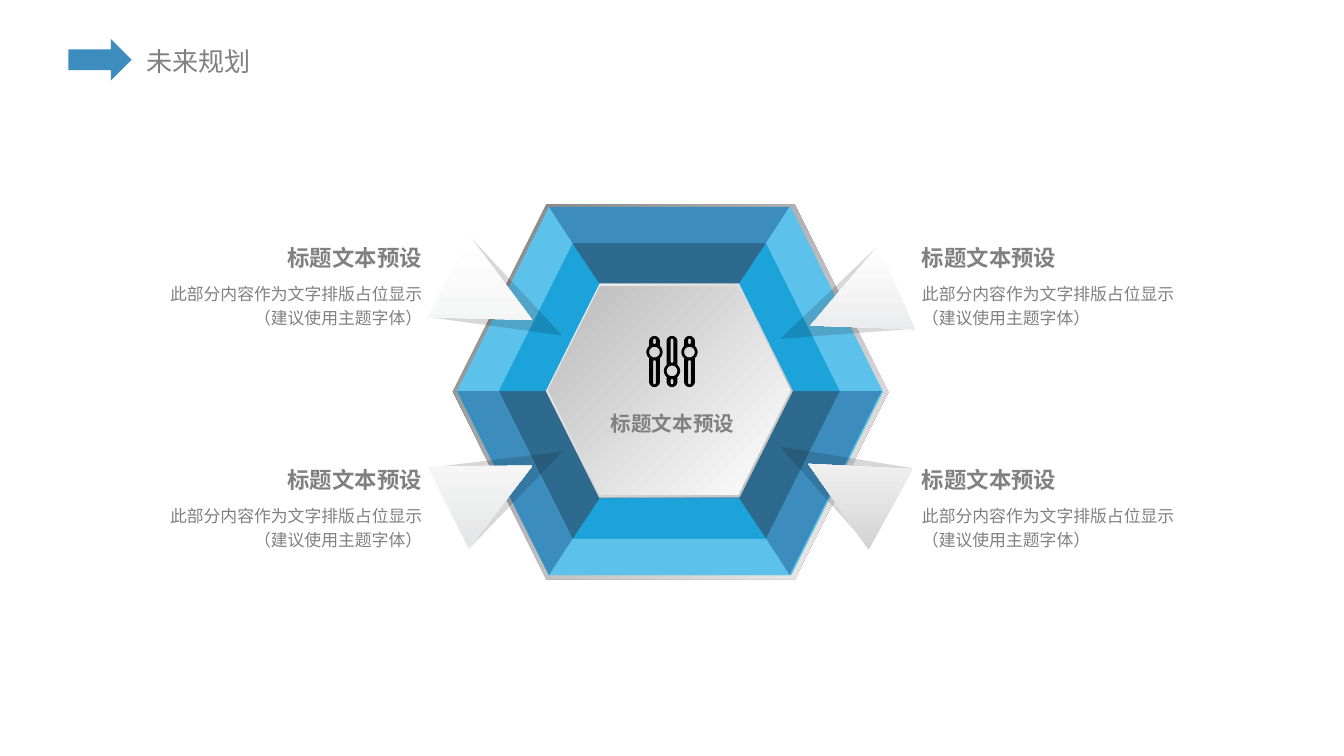
from dataclasses import dataclass
from math import cos, radians, sin

from lxml.etree import SubElement
from pptx import Presentation
from pptx.dml.color import RGBColor
from pptx.enum.shapes import MSO_SHAPE
from pptx.enum.text import MSO_ANCHOR, MSO_AUTO_SIZE, PP_ALIGN
from pptx.oxml.ns import qn
from pptx.util import Inches, Pt


@dataclass(frozen=True)
class Theme:
    font: str = "Noto Sans CJK SC"
    text: str = "808080"
    blue: str = "3C8DBE"
    sky: str = "5CC2EB"
    deep: str = "2D6A8E"
    bright: str = "1BA3DA"
    shadow: str = "0D0D0D"
    black: str = "000000"
    white: str = "FFFFFF"
    frame_gradient: tuple = ("808080", "F2F2F2")
    rim_gradient: tuple = ("BFBFBF", "F2F2F2")
    face_gradient: tuple = ("FFFFFF", "BABABA")
    pointer_tints: tuple = ("D3D3D4", "E2E3E4", "E4E5E6", "F0F1F1")
    title_size: int = 14
    heading_size: int = 12
    label_size: int = 11
    body_size: int = 9


theme = Theme()


def write_text(shape, text, size, bold=False, align=PP_ALIGN.LEFT, anchor=MSO_ANCHOR.TOP,
               margins=(0, 0), wrap=True, line_spacing=1.0):
    frame = shape.text_frame
    frame.auto_size = MSO_AUTO_SIZE.NONE
    frame.word_wrap = wrap
    frame.vertical_anchor = anchor
    frame.margin_left = frame.margin_right = Inches(margins[0])
    frame.margin_top = frame.margin_bottom = Inches(margins[1])
    paragraph = frame.paragraphs[0]
    paragraph.text = text
    paragraph.alignment = align
    paragraph.line_spacing = line_spacing
    paragraph.space_before = Pt(0)
    for run in paragraph.runs:
        run.font.name = theme.font
        run.font.size = Pt(size)
        run.font.bold = bold
        run.font.color.rgb = RGBColor.from_string(theme.text)
        SubElement(run.font._element, qn("a:ea"), typeface=theme.font)


def paint(shape, *colors, angle=0, opacity=100):
    """Fill with one colour, or with a two-colour gradient at a clockwise angle."""
    shape.shadow.inherit = False
    shape.line.fill.background()
    if len(colors) == 1:
        shape.fill.solid()
        shape.fill.fore_color.rgb = RGBColor.from_string(colors[0])
    else:
        shape.fill.gradient()
        shape.fill.gradient_angle = 360 - angle
        for stop, color, position in zip(shape.fill.gradient_stops, colors, (0, 1)):
            stop.color.rgb = RGBColor.from_string(color)
            stop.position = position
        # The gradient keeps its direction when the shape is turned
        shape._element.spPr.find(qn("a:gradFill")).set("rotWithShape", "0")
    if opacity < 100:
        color_element = shape._element.spPr.find(".//" + qn("a:srgbClr"))
        SubElement(color_element, qn("a:alpha"), val=str(opacity * 1000))


presentation = Presentation()
presentation.slide_width = Inches(10)
presentation.slide_height = Inches(10 * 9 / 16)
slide = presentation.slides.add_slide(presentation.slide_layouts[5])
shapes = slide.shapes

# Title and arrow
title = shapes.title
title.left, title.top, title.width, title.height = map(Inches, (0.98, 0.29, 1, 0.34))
write_text(title, "未来规划", theme.title_size, margins=(0.11, 0.05), wrap=False)
arrow = shapes.add_shape(MSO_SHAPE.RIGHT_ARROW, *map(Inches, (0.51, 0.29, 0.47, 0.31)))
paint(arrow, theme.blue)

# Nested hexagons
hexagons = [
    ((3.37, 1.52, 3.24, 2.79), theme.frame_gradient, 45),
    ((3.4, 1.55, 3.17, 2.73), (theme.sky,), 0),
    ((3.72, 1.82, 2.54, 2.19), (theme.blue,), 0),
    ((4.06, 2.11, 1.85, 1.59), theme.rim_gradient, 225),
    ((4.08, 2.13, 1.8, 1.55), theme.face_gradient, 225),
]
for box, colors, angle in hexagons:
    hexagon = shapes.add_shape(MSO_SHAPE.HEXAGON, *map(Inches, box))
    paint(hexagon, *colors, angle=angle)

# Two rings of six facets, between three hexagon outlines
center_x, center_y = 4.98, 2.91
outlines = []
for half_width, half_height in [(0.92, 0.8), (1.27, 1.1), (1.58, 1.37)]:
    top_half = half_width - half_height / 2
    corners = [(-half_width, 0), (-top_half, -half_height), (top_half, -half_height),
               (half_width, 0), (top_half, half_height), (-top_half, half_height)]
    outlines.append([(Inches(center_x + x), Inches(center_y + y)) for x, y in corners])

ring_colors = [(theme.bright, theme.deep), (theme.sky, theme.blue)]
for inner, outer, colors in zip(outlines, outlines[1:], ring_colors):
    for side in range(6):
        following = (side + 1) % 6
        builder = shapes.build_freeform(*inner[side])
        builder.add_line_segments([inner[following], outer[following], outer[side]])
        paint(builder.convert_to_shape(), colors[side % 2])

# Pointers: a translucent shadow below a pale triangle
pointers = [
    ((5.88, 3.08), (5.98, 3.27), 298.8),
    ((5.9, 1.86), (6.01, 1.93), 246.1),
    ((3.43, 3.1), (3.31, 3.27), 63.5),
    ((3.43, 1.81), (3.31, 1.87), 117.4),
]
for (shadow_corner, pointer_corner, rotation), tint in zip(pointers, theme.pointer_tints):
    shadow = shapes.add_shape(MSO_SHAPE.ISOSCELES_TRIANGLE,
                              *map(Inches, (*shadow_corner, 0.67, 0.94)))
    pointer = shapes.add_shape(MSO_SHAPE.ISOSCELES_TRIANGLE,
                               *map(Inches, (*pointer_corner, 0.68, 0.7)))
    shadow.rotation = pointer.rotation = rotation
    paint(shadow, theme.shadow, opacity=16)
    paint(pointer, theme.white, tint, angle=90)

# Slider icon: each contour is a chain of arcs (centre y, radius, start, stop)
for slider_x, knob_y in [(4.87, 2.62), (5.13, 2.62), (5, 2.76)]:
    contours = [
        [(2.54, 0.04, 180, 360), (knob_y, 0.06, -48, 48),
         (2.84, 0.04, 0, 180), (knob_y, 0.06, 132, 228)],
        [(knob_y, 0.04, 0, 360)],
        [(2.53, 0.01, 180, 360), (knob_y - 0.07, 0.01, 0, 180)],
        [(knob_y + 0.07, 0.01, 180, 360), (2.85, 0.01, 0, 180)],
    ]
    builder = None
    for arcs in contours:
        points = [(Inches(slider_x + radius * cos(radians(start + (stop - start) * step / 16))),
                   Inches(arc_y + radius * sin(radians(start + (stop - start) * step / 16))))
                  for arc_y, radius, start, stop in arcs for step in range(17)]
        if builder is None:
            builder = shapes.build_freeform(*points[0])
        else:
            builder.move_to(*points[0])
        builder.add_line_segments(points[1:])
    paint(builder.convert_to_shape(), theme.black)

# Centre label
label = shapes.add_textbox(*map(Inches, (4.3, 3.01, 1.41, 0.33)))
write_text(label, "标题文本预设", theme.label_size, bold=True, align=PP_ALIGN.CENTER,
           margins=(0.1, 0.05), wrap=False)

# Four captions
for left, align in [(6.86, PP_ALIGN.LEFT), (0.59, PP_ALIGN.RIGHT)]:
    for top in (1.75, 3.4):
        heading = shapes.add_textbox(*map(Inches, (left, top, 2.55, 0.33)))
        write_text(heading, "标题文本预设", theme.heading_size, bold=True, align=align,
                   anchor=MSO_ANCHOR.MIDDLE)
        body = shapes.add_textbox(*map(Inches, (left, top + 0.33, 2.55, 0.5)))
        write_text(body, "此部分内容作为文字排版占位显示\n（建议使用主题字体）", theme.body_size,
                   align=align, line_spacing=1.2)

presentation.save("out.pptx")
